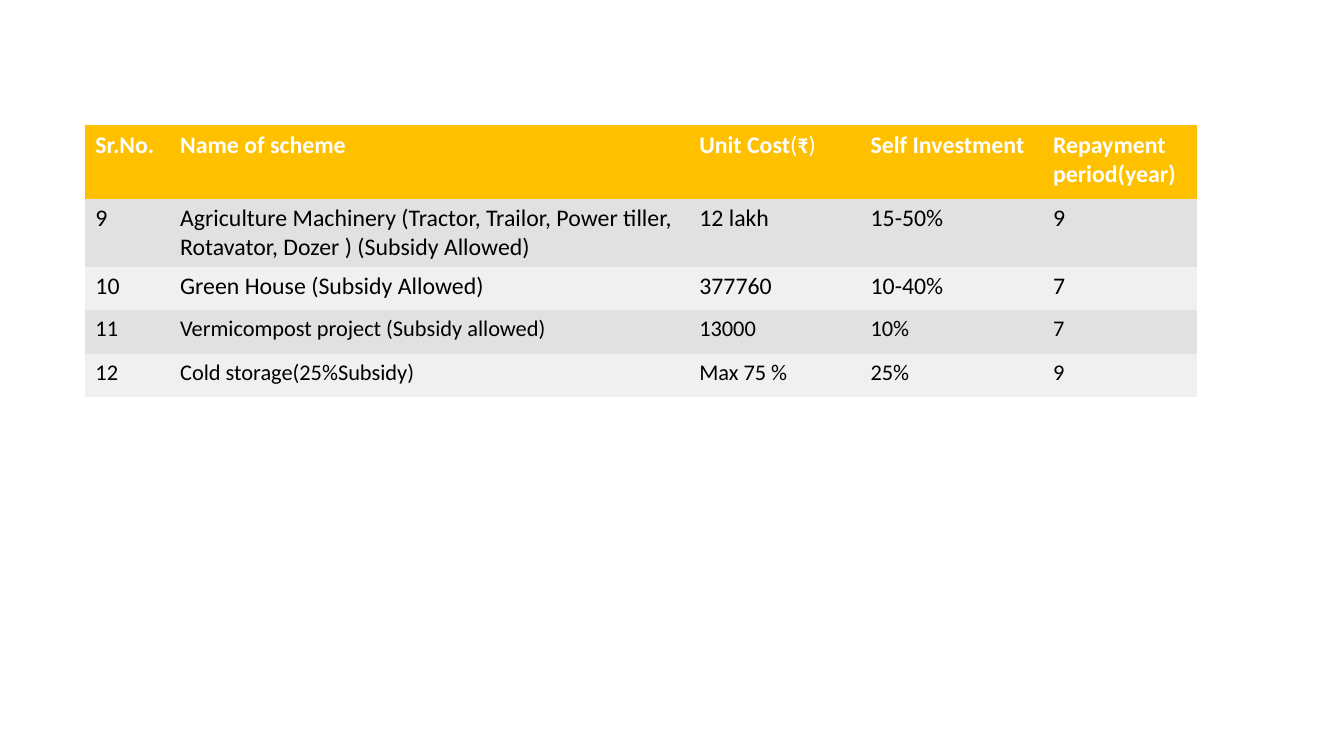
from pptx import Presentation
from pptx import util as u
from pptx.dml.color import RGBColor

PLAIN_TABLE_STYLE = "{2D5ABB26-0587-4C30-8999-92F81FD0307C}"
COLUMN_WIDTHS = [60.5, 370.8, 122.4, 130.3, 110.2]
ROW_HEIGHTS = [52.5, 46, 31, 31, 31]
BAND_FILLS = ["E1E1E1", "F0F0F0"]
HEADER = {"size": u.Pt(17), "bold": True, "name": "Calibri"}
BODY = {"size": u.Pt(17), "bold": False, "name": "Calibri"}
SMALL_BODY = {**BODY, "size": u.Pt(16)}
HEADINGS = [
    [("Sr.No.", {})],
    [("Name of scheme", {})],
    [("Unit Cost", {}), ("(", {"bold": False}),
     ("₹", {"size": u.Pt(16)}), (")", {"bold": False})],
    [("Self Investment", {})],
    [("Repayment period(year)", {})],
]
SCHEMES = [
    (BODY, ["9", "Agriculture Machinery (Tractor, Trailor, Power tiller, "
            "Rotavator, Dozer ) (Subsidy Allowed)", "12 lakh", "15-50%", "9"]),
    (BODY, ["10", "Green House (Subsidy Allowed)", "377760", "10-40%", "7"]),
    (SMALL_BODY, ["11", "Vermicompost project (Subsidy allowed)", "13000", "10%", "7"]),
    (SMALL_BODY, ["12", "Cold storage(25%Subsidy)", "Max 75 %", "25%", "9"]),
]


def colour(value):
    """Return the colour for a hex string."""
    return RGBColor.from_string(value)


def fill_cell(cell, runs, font_format, fill, text_colour):
    """Colour a cell and write its formatted runs."""
    cell.fill.solid()
    cell.fill.fore_color.rgb = colour(fill)
    paragraph = cell.text_frame.paragraphs[0]
    for text, changes in runs:
        run = paragraph.add_run()
        run.text = text
        for attribute, value in {**font_format, **changes}.items():
            setattr(run.font, attribute, value)
        run.font.color.rgb = colour(text_colour)


def add_plain_table(slide, left, top):
    """Add an empty table without borders."""
    frame = slide.shapes.add_table(
        len(ROW_HEIGHTS), len(COLUMN_WIDTHS), u.Pt(left), u.Pt(top),
        u.Pt(sum(COLUMN_WIDTHS)), u.Pt(sum(ROW_HEIGHTS)))
    table = frame.table
    table._tbl.tblPr.find("{*}tableStyleId").text = PLAIN_TABLE_STYLE
    for column, width in zip(table.columns, COLUMN_WIDTHS):
        column.width = u.Pt(width)
    for row, height in zip(table.rows, ROW_HEIGHTS):
        row.height = u.Pt(height)
    return table


def main():
    """Build the slide with the table of schemes."""
    presentation = Presentation()
    presentation.slide_width = u.Pt(960)
    presentation.slide_height = u.Pt(540)
    slide = presentation.slides.add_slide(presentation.slide_layouts[6])
    table = add_plain_table(slide, 61, 89.5)
    for column, runs in enumerate(HEADINGS):
        fill_cell(table.cell(0, column), runs, HEADER, "FFC000", "FFFFFF")
    for index, (font_format, values) in enumerate(SCHEMES):
        for column, value in enumerate(values):
            fill_cell(table.cell(index + 1, column), [(value, {})], font_format,
                      BAND_FILLS[index % 2], "000000")
    presentation.save("out.pptx")


if __name__ == "__main__":
    main()
